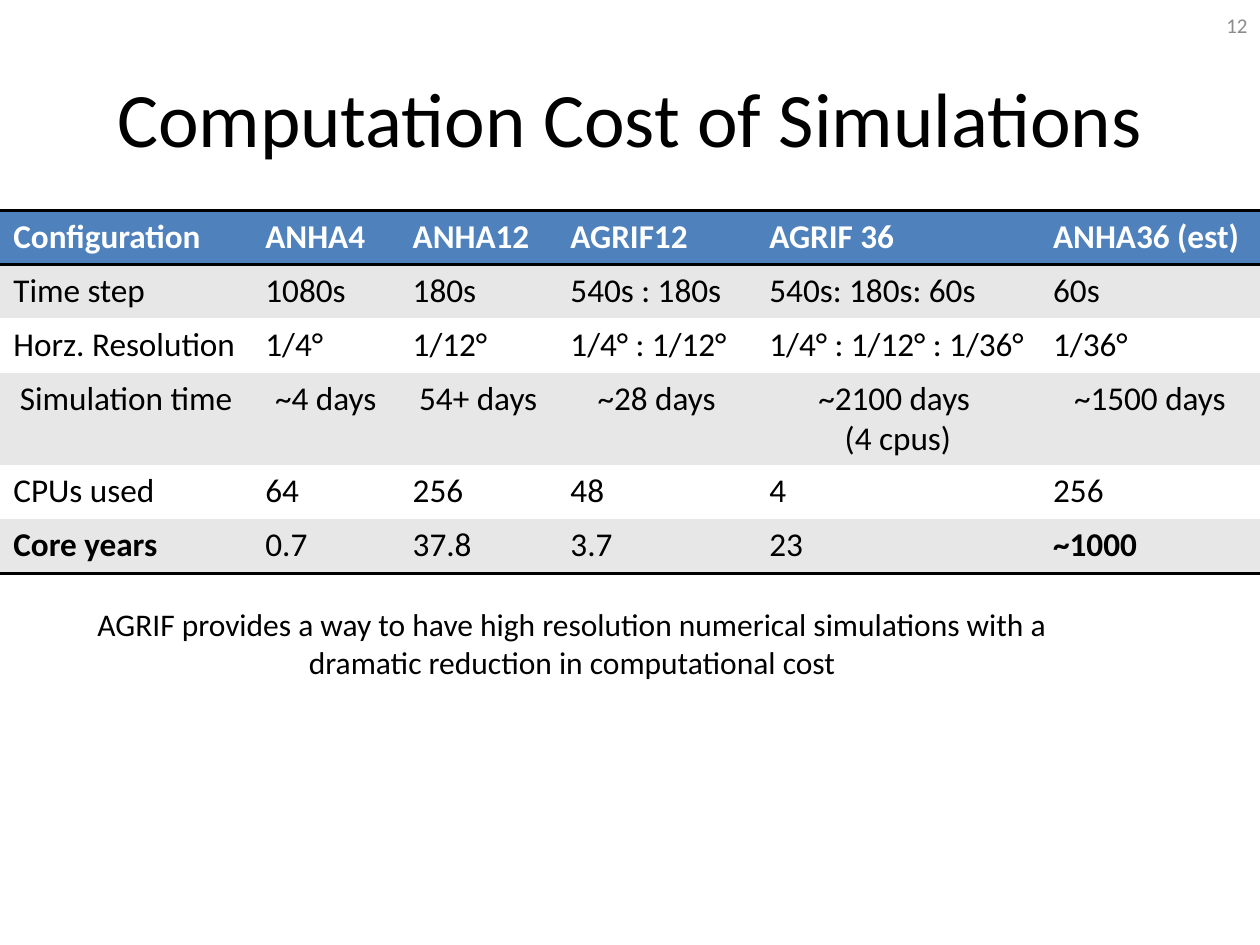
from lxml import etree
from pptx import Presentation
from pptx.dml.color import RGBColor
from pptx.enum.text import MSO_ANCHOR, PP_ALIGN
from pptx.oxml.ns import qn
from pptx.util import Cm, Pt

LEFT, CENTER, RIGHT = PP_ALIGN.LEFT, PP_ALIGN.CENTER, PP_ALIGN.RIGHT
TOP, MIDDLE = MSO_ANCHOR.TOP, MSO_ANCHOR.MIDDLE

BLACK = RGBColor(0x00, 0x00, 0x00)
WHITE = RGBColor(0xFF, 0xFF, 0xFF)
GRAY = RGBColor(0x8C, 0x8C, 0x8C)
BAND = RGBColor(0xE7, 0xE7, 0xE7)
HEADER = RGBColor(0x4F, 0x81, 0xBD)

COLUMN_WIDTHS = [5.08, 2.97, 3.18, 4.01, 5.72, 4.44]
ROW_HEIGHT = 1.09
COST_ROWS = [
    ["Configuration", "ANHA4", "ANHA12", "AGRIF12", "AGRIF 36", "ANHA36 (est)"],
    ["Time step", "1080s", "180s", "540s : 180s", "540s: 180s: 60s", "60s"],
    ["Horz. Resolution", "1/4°", "1/12°", "1/4° : 1/12°", "1/4° : 1/12° : 1/36°", "1/36°"],
    ["Simulation time", "~4 days", "54+ days", "~28 days", "~2100 days \n(4 cpus)", "~1500 days"],
    ["CPUs used", "64", "256", "48", "4", "256"],
    ["Core years", "0.7", "37.8", "3.7", "23", "~1000"],
]
CENTERED_ROW = 3
BOLD_CELLS = {"Core years", "~1000"}
RULED_EDGES = {0, 1, len(COST_ROWS)}


class SlideBuilder:
    font = "Calibri"
    rule_width = Pt(2)

    def __init__(self, slide):
        self.slide = slide

    def add_lines(self, text_frame, text, size, color=BLACK, align=LEFT, bold=False):
        for index, line in enumerate(text.split("\n")):
            paragraph = text_frame.add_paragraph() if index else text_frame.paragraphs[0]
            paragraph.alignment = align
            run = paragraph.add_run()
            run.text = line
            run.font.name = self.font
            run.font.size = Pt(size)
            run.font.bold = bold
            run.font.color.rgb = color

    def place(self, shape, left, top, width, height):
        shape.left, shape.top = Cm(left), Cm(top)
        shape.width, shape.height = Cm(width), Cm(height)

    def title(self, text, box, size):
        shape = self.slide.shapes.title
        self.place(shape, *box)
        shape.text_frame.vertical_anchor = MIDDLE
        self.add_lines(shape.text_frame, text, size, align=CENTER)

    def text(self, text, box, size, color, align, anchor):
        shape = self.slide.shapes.add_textbox(*map(Cm, box))
        shape.text_frame.word_wrap = True
        shape.text_frame.vertical_anchor = anchor
        self.add_lines(shape.text_frame, text, size, color, align)

    def border(self, cell, side, visible):
        properties = cell._tc.get_or_add_tcPr()
        line = etree.SubElement(properties, qn(f"a:ln{side}"))
        if visible:
            line.set("w", str(self.rule_width))
            fill = etree.SubElement(line, qn("a:solidFill"))
            etree.SubElement(fill, qn("a:srgbClr"), val=str(BLACK))
        else:
            etree.SubElement(line, qn("a:noFill"))

    def table(self, rows, left, top, size):
        frame = self.slide.shapes.add_table(
            len(rows), len(COLUMN_WIDTHS), Cm(left), Cm(top),
            Cm(sum(COLUMN_WIDTHS)), Cm(ROW_HEIGHT * len(rows)))
        table = frame.table
        table.horz_banding = False
        for column, width in zip(table.columns, COLUMN_WIDTHS):
            column.width = Cm(width)
        for row_index, texts in enumerate(rows):
            table.rows[row_index].height = Cm(ROW_HEIGHT)
            is_header = row_index == 0
            background = HEADER if is_header else BAND if row_index % 2 else WHITE
            align = CENTER if row_index == CENTERED_ROW else LEFT
            for column_index, text in enumerate(texts):
                cell = table.cell(row_index, column_index)
                cell.margin_left = cell.margin_right = Cm(0.27)
                for side in "LR":
                    self.border(cell, side, False)
                self.border(cell, "T", row_index in RULED_EDGES)
                self.border(cell, "B", row_index + 1 in RULED_EDGES)
                cell.fill.solid()
                cell.fill.fore_color.rgb = background
                self.add_lines(cell.text_frame, text, size, WHITE if is_header else BLACK,
                               align, is_header or text in BOLD_CELLS)


def main():
    presentation = Presentation()
    presentation.slide_width = Cm(25.4)
    presentation.slide_height = Cm(19.05)
    slide = presentation.slides.add_slide(presentation.slide_layouts[5])
    builder = SlideBuilder(slide)
    builder.title("Computation Cost of Simulations", (1.27, 0.76, 22.86, 3.18), 44)
    builder.text("12", (19.48, 0, 5.92, 1.02), 12, GRAY, RIGHT, MIDDLE)
    builder.table(COST_ROWS, 0, 4.24, 19)
    builder.text("AGRIF provides a way to have high resolution numerical simulations "
                 "with a dramatic reduction in computational cost",
                 (0.64, 12.07, 21.79, 3.33), 18, BLACK, CENTER, TOP)
    presentation.save("out.pptx")


if __name__ == "__main__":
    main()
